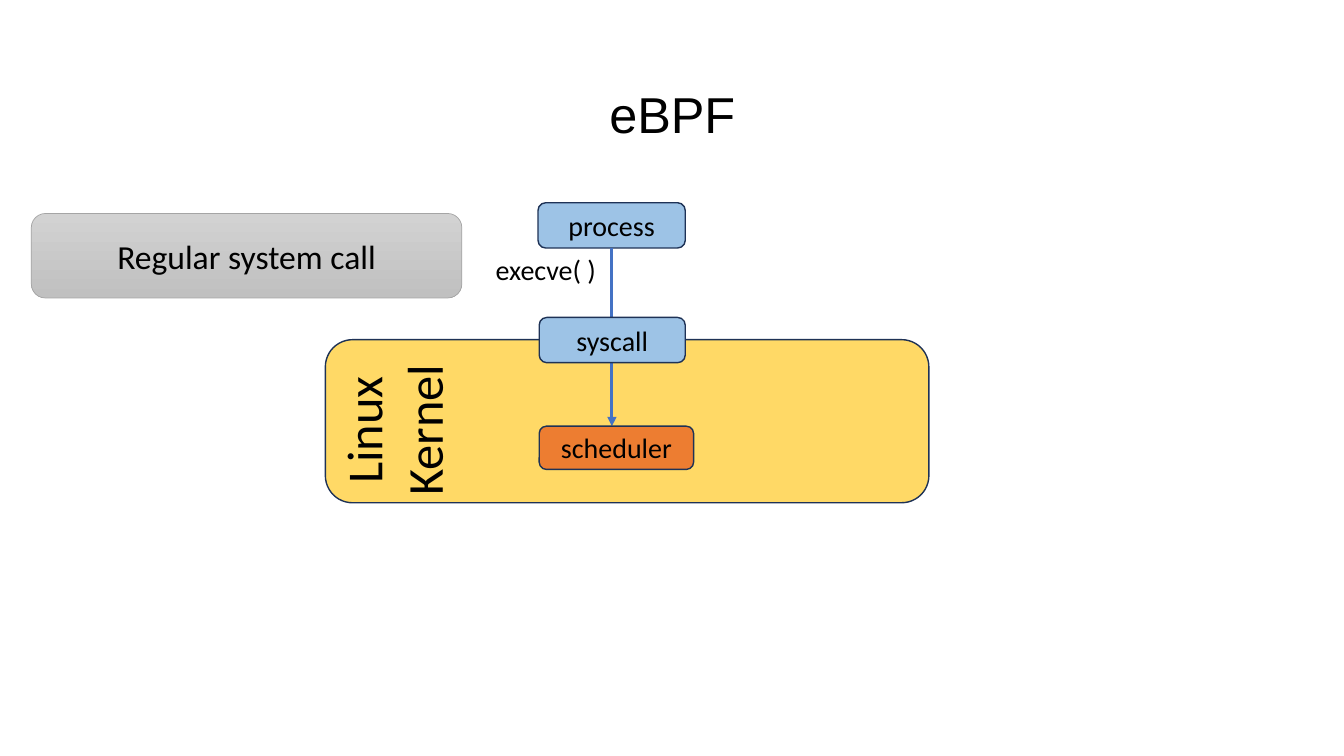
from dataclasses import dataclass

from lxml import etree
from pptx import Presentation
from pptx.dml.color import RGBColor
from pptx.enum.shapes import MSO_CONNECTOR, MSO_SHAPE
from pptx.enum.text import MSO_ANCHOR, PP_ALIGN
from pptx.oxml.ns import qn
from pptx.util import Cm, Pt

ROUNDED = MSO_SHAPE.ROUNDED_RECTANGLE
STRAIGHT = MSO_CONNECTOR.STRAIGHT
MIDDLE, TOP = MSO_ANCHOR.MIDDLE, MSO_ANCHOR.TOP
CENTER, LEFT = PP_ALIGN.CENTER, PP_ALIGN.LEFT


@dataclass(frozen=True)
class Theme:
    title_font: str = "Arial"
    body_font: str = "Calibri"
    title_size: int = 36
    heading_size: int = 24
    body_size: int = 20
    text: str = "000000"
    outline: str = "1E3256"
    kernel: str = "FFD966"
    user: str = "9DC3E6"
    scheduler: str = "ED7D31"
    arrow: str = "4472C4"
    banner: tuple = ("D2D2D2", "C0C0C0")
    banner_outline: str = "A5A5A5"


class Diagram:
    def __init__(self, slide, theme):
        self.slide = slide
        self.theme = theme

    def set_text(self, sp, lines, size, font=None, align=CENTER, anchor=MIDDLE):
        tf = sp.text_frame
        tf.word_wrap = True
        tf.vertical_anchor = anchor
        tf.text = "\n".join(lines)
        for p in tf.paragraphs:
            p.alignment = align
            p.font.name = font or self.theme.body_font
            p.font.size = Pt(size)
            p.font.color.rgb = RGBColor.from_string(self.theme.text)

    def label(self, box, lines, size, rotation=0, **style):
        sp = self.slide.shapes.add_textbox(*map(Cm, box))
        sp.rotation = rotation
        self.set_text(sp, lines, size, **style)

    def box(self, box, fill, text=None, size=None, outline=None, width=1):
        sp = self.slide.shapes.add_shape(ROUNDED, *map(Cm, box))
        sp.shadow.inherit = False
        if isinstance(fill, tuple):
            sp.fill.gradient()
            sp.fill.gradient_angle = 270
            for stop, color in zip(sp.fill.gradient_stops, fill):
                stop.color.rgb = RGBColor.from_string(color)
        else:
            sp.fill.solid()
            sp.fill.fore_color.rgb = RGBColor.from_string(fill)
        sp.line.color.rgb = RGBColor.from_string(outline or self.theme.outline)
        sp.line.width = Pt(width)
        if text:
            self.set_text(sp, [text], size or self.theme.body_size)

    def arrow(self, x, top, bottom):
        sp = self.slide.shapes.add_connector(STRAIGHT, Cm(x), Cm(top), Cm(x), Cm(bottom))
        sp.line.color.rgb = RGBColor.from_string(self.theme.arrow)
        sp.line.width = Pt(2.25)
        props = sp._element.spPr
        etree.SubElement(props.find(qn("a:ln")), qn("a:tailEnd"), type="triangle")
        etree.SubElement(props, qn("a:effectLst"))


def main():
    prs = Presentation()
    prs.slide_width, prs.slide_height = Cm(33.87), Cm(19.05)
    theme = Theme()
    d = Diagram(prs.slides.add_slide(prs.slide_layouts[6]), theme)

    d.label((2.34, 1.02, 29.21, 3.68), ["eBPF"], theme.title_size, font=theme.title_font)
    d.box((8.2, 8.56, 15.21, 4.11), theme.kernel)
    d.label((7.85, 9.17, 4.11, 3.33), ["Linux", "Kernel"], theme.title_size,
            rotation=270, anchor=TOP)
    d.box((13.56, 5.11, 3.71, 1.14), theme.user, "process")
    d.arrow(15.42, 6.25, 10.74)
    d.box((13.59, 8, 3.68, 1.14), theme.user, "syscall")
    d.label((12.24, 6.25, 3.25, 1.12), ["execve( )"], theme.body_size,
            align=LEFT, anchor=TOP)
    d.box((0.79, 5.38, 10.85, 2.13), theme.banner, "Regular system call",
          theme.heading_size, theme.banner_outline, 0.5)
    d.box((13.59, 10.74, 3.89, 1.09), theme.scheduler, "scheduler")

    prs.save("out.pptx")


if __name__ == "__main__":
    main()
